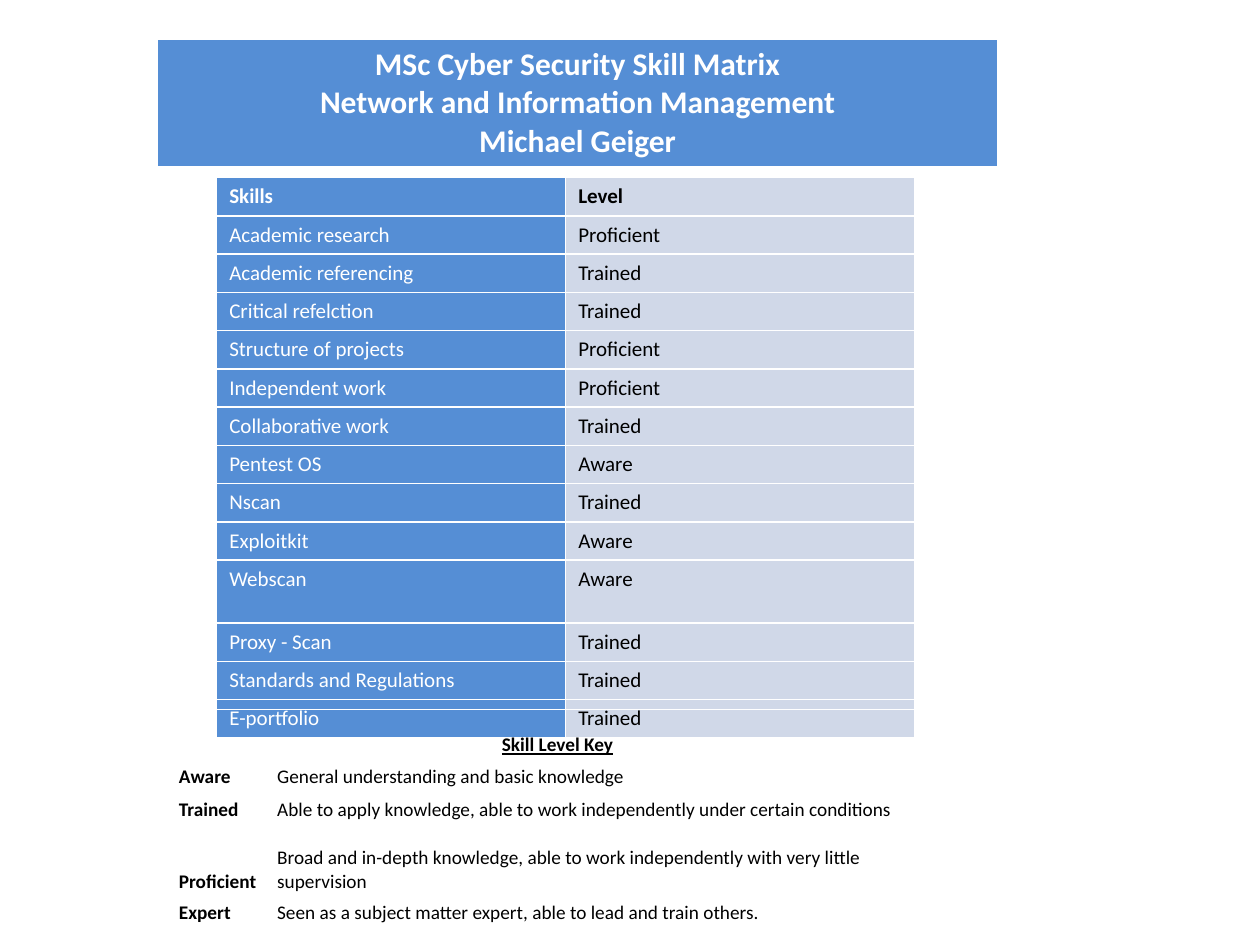
"""Build a skill matrix slide with a title band, a skills table and a level key."""
from dataclasses import dataclass
from typing import Optional

from pptx import Presentation
from pptx.dml.color import RGBColor
from pptx.enum.text import MSO_ANCHOR as Anchor, PP_ALIGN as Align
from pptx.slide import Slide
from pptx.table import Table, _Cell as Cell
from pptx.util import Inches, Pt

WHITE = RGBColor(0xFF, 0xFF, 0xFF)
BLACK = RGBColor(0x00, 0x00, 0x00)
BLUE = RGBColor(0x55, 0x8E, 0xD5)
PALE = RGBColor(0xD0, 0xD8, 0xE8)


@dataclass(frozen=True)
class Look:
    size: int
    color: RGBColor
    fill: Optional[RGBColor] = None
    bold: bool = False
    underline: bool = False
    align: Align = Align.LEFT


@dataclass(frozen=True)
class Entry:
    name: str
    detail: str
    height: float


ROW = 0.3
TITLE = "MSc Cyber Security Skill Matrix\nNetwork and Information Management\nMichael Geiger"
SKILLS = [
    Entry("Skills", "Level", ROW),
    Entry("Academic research", "Proficient", ROW),
    Entry("Academic referencing", "Trained", ROW),
    Entry("Critical refelction", "Trained", ROW),
    Entry("Structure of projects", "Proficient", ROW),
    Entry("Independent work", "Proficient", ROW),
    Entry("Collaborative work", "Trained", ROW),
    Entry("Pentest OS", "Aware", ROW),
    Entry("Nscan", "Trained", ROW),
    Entry("Exploitkit", "Aware", ROW),
    Entry("Webscan", "Aware", 0.5),
    Entry("Proxy - Scan", "Trained", ROW),
    Entry("Standards and Regulations", "Trained", ROW),
    Entry("E-portfolio", "Trained", ROW),
]
LEVELS = [
    Entry("Skill Level Key", "", 0.38),
    Entry("Aware", "General understanding and basic knowledge", 0.25),
    Entry("Trained", "Able to apply knowledge, able to work independently under certain conditions", 0.26),
    Entry("Proficient", "Broad and in-depth knowledge, able to work independently with very little supervision", 0.57),
    Entry("Expert", "Seen as a subject matter expert, able to lead and train others.", 0.25),
]


def add_grid(page: Slide, left: float, top: float, widths: list[float],
             heights: list[float], header: bool) -> Table:
    frame = page.shapes.add_table(len(heights), len(widths), Inches(left), Inches(top),
                                  Inches(sum(widths)), Inches(sum(heights)))
    table = frame.table
    table.first_row = header
    table.horz_banding = False
    for column, width in zip(table.columns, widths):
        column.width = Inches(width)
    for row, height in zip(table.rows, heights):
        row.height = Inches(height)
    return table


def write_cell(cell: Cell, text: str, look: Look) -> None:
    cell.text = text
    if look.fill is None:
        cell.fill.background()
    else:
        cell.fill.solid()
        cell.fill.fore_color.rgb = look.fill
    for para in cell.text_frame.paragraphs:
        para.alignment = look.align
        font = para.font
        font.name = "Calibri"
        font.size = Pt(look.size)
        font.bold = look.bold
        font.underline = look.underline
        font.color.rgb = look.color


def add_skills(page: Slide) -> None:
    table = add_grid(page, 1.72, 1.41, [2.77, 2.77], [skill.height for skill in SKILLS], True)
    for index, skill in enumerate(SKILLS):
        bold = index == 0
        write_cell(table.cell(index, 0), skill.name, Look(12, WHITE, BLUE, bold))
        write_cell(table.cell(index, 1), skill.detail, Look(12, BLACK, PALE, bold))


def add_key(page: Slide) -> None:
    table = add_grid(page, 1.41, 5.63, [0.78, 5.25], [level.height for level in LEVELS], False)
    for cell in table.iter_cells():
        cell.vertical_anchor = Anchor.BOTTOM
        cell.margin_left = cell.margin_right = cell.margin_top = Inches(0.01)
        cell.margin_bottom = 0
    for index, level in enumerate(LEVELS):
        heading = index == 0
        align = Align.CENTER if heading else Align.LEFT
        write_cell(table.cell(index, 0), level.name,
                   Look(11, BLACK, bold=True, underline=heading, align=align))
        write_cell(table.cell(index, 1), level.detail, Look(11, BLACK))
    table.cell(0, 0).merge(table.cell(0, 1))


def add_title(page: Slide) -> None:
    table = add_grid(page, 1.25, 0.31, [6.67], [1], True)
    write_cell(table.cell(0, 0), TITLE, Look(18, WHITE, BLUE, True, align=Align.CENTER))


def main() -> None:
    deck = Presentation()
    deck.slide_width = Inches(10)
    deck.slide_height = Inches(7.5)
    page = deck.slides.add_slide(deck.slide_layouts[6])
    add_skills(page)
    add_key(page)
    add_title(page)
    deck.save("out.pptx")


if __name__ == "__main__":
    main()
